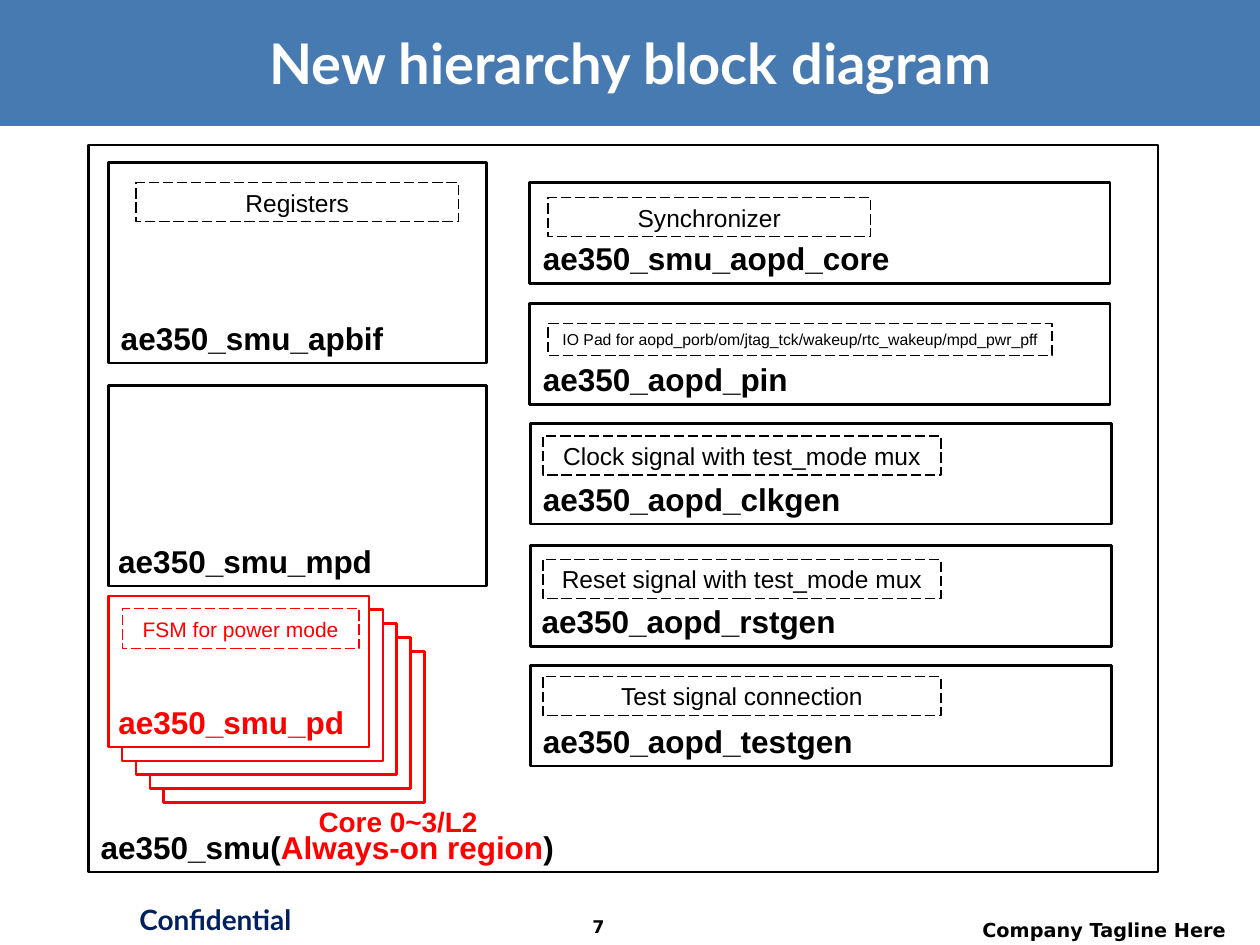
from lxml import etree
from pptx import Presentation
from pptx.dml.color import RGBColor
from pptx.enum.dml import MSO_LINE
from pptx.enum.shapes import MSO_SHAPE
from pptx.enum.text import MSO_ANCHOR, PP_ALIGN
from pptx.oxml.ns import qn
from pptx.util import Inches, Pt

BLACK = RGBColor(0x00, 0x00, 0x00)
WHITE = RGBColor(0xFF, 0xFF, 0xFF)
RED = RGBColor(0xFF, 0x00, 0x00)
NAVY = RGBColor(0x00, 0x20, 0x60)
BLUE = RGBColor(0x47, 0x7A, 0xB1)
RECT = MSO_SHAPE.RECTANGLE
LONG_DASH = MSO_LINE.LONG_DASH
TOP, MIDDLE = MSO_ANCHOR.TOP, MSO_ANCHOR.MIDDLE
LEFT, CENTER, RIGHT = PP_ALIGN.LEFT, PP_ALIGN.CENTER, PP_ALIGN.RIGHT

LABEL_HEIGHT = 0.4

# Frame box, name, label shift and width, then detail box, text and size
BLOCKS = [
    ((0.86, 1.29, 3, 1.59), "ae350_smu_apbif", 0, 2.31,
     (1.08, 1.45, 2.56, 0.31), "Registers", 14),
    ((0.86, 3.06, 3, 1.59), "ae350_smu_mpd", -0.02, 2.24, None, "", 0),
    ((4.2, 1.45, 4.61, 0.8), "ae350_smu_aopd_core", 0.01, 2.98,
     (4.35, 1.57, 2.56, 0.31), "Synchronizer", 14),
    ((4.2, 2.41, 4.61, 0.8), "ae350_aopd_pin", 0.01, 2.17,
     (4.35, 2.57, 4, 0.25),
     "IO Pad for aopd_porb/om/jtag_tck/wakeup/rtc_wakeup/mpd_pwr_pff", 9),
    ((4.21, 3.36, 4.61, 0.8), "ae350_aopd_clkgen", 0, 2.59,
     (4.31, 3.46, 3.16, 0.31), "Clock signal with test_mode mux", 14),
    ((4.21, 4.33, 4.61, 0.8), "ae350_aopd_rstgen", -0.01, 2.56,
     (4.31, 4.44, 3.16, 0.31), "Reset signal with test_mode mux", 14),
    ((4.21, 5.28, 4.61, 0.8), "ae350_aopd_testgen", 0, 2.68,
     (4.31, 5.37, 3.16, 0.31), "Test signal connection", 14),
]


def to_inches(box):
    return [Inches(v) for v in box]


def style_text(tf, text, size, color, font="Arial", bold=False, align=LEFT, anchor=TOP):
    tf.vertical_anchor = anchor
    p = tf.paragraphs[0]
    p.alignment = align
    p.font.size, p.font.name, p.font.bold = Pt(size), font, bold
    p.font.color.rgb = color
    p.add_run().text = text
    return p


def add_text(s, box, text, size, color, wrap=False, **style):
    tf = s.shapes.add_textbox(*to_inches(box)).text_frame
    tf.word_wrap = wrap
    return style_text(tf, text, size, color, **style)


def add_rect(s, box, fill=None, line=None, width=1.5):
    sp = s.shapes.add_shape(RECT, *to_inches(box))
    sp.shadow.inherit = False
    if fill is None:
        sp.fill.background()
    else:
        sp.fill.solid()
        sp.fill.fore_color.rgb = fill
    if line is None:
        sp.line.fill.background()
    else:
        sp.line.color.rgb = line
        sp.line.width = Pt(width)
    return sp


def add_detail(s, box, text, size, color):
    """Dashed box that holds one line of centred text."""
    sp = add_rect(s, box, line=color, width=0.75)
    sp.line.dash_style = LONG_DASH
    sp.text_frame.word_wrap = False
    style_text(sp.text_frame, text, size, color, align=CENTER, anchor=MIDDLE)


def add_block(s, box, name, shift, label_width, color=BLACK, fill=None):
    """Frame with its name in the bottom left corner."""
    x, y, w, h = box
    add_rect(s, box, fill, color)
    label = (x + shift, y + h - LABEL_HEIGHT, label_width, LABEL_HEIGHT)
    return add_text(s, label, name, 18, color, bold=True)


def add_text_shadow(r):
    rPr = r._r.get_or_add_rPr()
    effects = etree.SubElement(rPr, qn("a:effectLst"))
    shadow = etree.SubElement(effects, qn("a:outerShdw"), dist="38100", dir="2700000")
    etree.SubElement(shadow, qn("a:srgbClr"), val="000000")


def add_header(s, box):
    x, y, w, h = box
    add_rect(s, box, fill=BLUE)
    p = add_text(s, (x + 0.35, y + 0.16, w - 0.69, 0.66), "New hierarchy block diagram",
                 32, WHITE, wrap=True, font="Lato", bold=True, align=CENTER, anchor=MIDDLE)
    add_text_shadow(p.runs[0])


def add_footer(s, box):
    x, y, w, h = box
    add_text(s, (x + 0.89, y, 1.64, h), "Confidential", 16, NAVY,
             font="Lato", bold=True, align=CENTER)
    add_text(s, (x + 4.29, y + 0.11, 0.92, 0.28), "7", 10, BLACK,
             font="DejaVu Sans", bold=True, align=CENTER)
    add_text(s, (x + 7.46, y + 0.13, 2.37, 0.26), "Company Tagline Here", 11, BLACK,
             font="DejaVu Sans", bold=True, align=RIGHT)


def add_core_stack(s, box, count=5, step=0.11):
    """Overlapping frames, the front one at the given box."""
    x, y, w, h = box
    for i in range(count - 1, 0, -1):
        add_rect(s, (x + i * step, y + i * step, w, h), WHITE, RED)
    add_block(s, box, "ae350_smu_pd", -0.02, 2.01, RED, WHITE)
    add_detail(s, (x + 0.11, y + 0.1, 1.88, 0.32), "FSM for power mode", 12, RED)
    add_text(s, (x + 1.57, y + 1.61, 1.48, 0.37), "Core 0~3/L2", 16, RED, bold=True)


def add_diagram(s, box):
    p = add_block(s, box, "ae350_smu(", 0, 3.83)
    for text, color in (("Always-on region", RED), (")", BLACK)):
        r = p.add_run()
        r.text = text
        r.font.color.rgb = color
    for frame, name, shift, label_width, detail, text, size in BLOCKS:
        add_block(s, frame, name, shift, label_width)
        if detail:
            add_detail(s, detail, text, size, BLACK)
    add_core_stack(s, (0.86, 4.73, 2.07, 1.2))


def main():
    prs = Presentation()
    prs.slide_width, prs.slide_height = Inches(10), Inches(7.5)
    s = prs.slides.add_slide(prs.slide_layouts[6])
    add_header(s, (0, 0, 10, 1))
    add_footer(s, (0, 7.11, 10, 0.42))
    add_diagram(s, (0.7, 1.15, 8.49, 5.77))
    prs.save("out.pptx")


if __name__ == "__main__":
    main()
